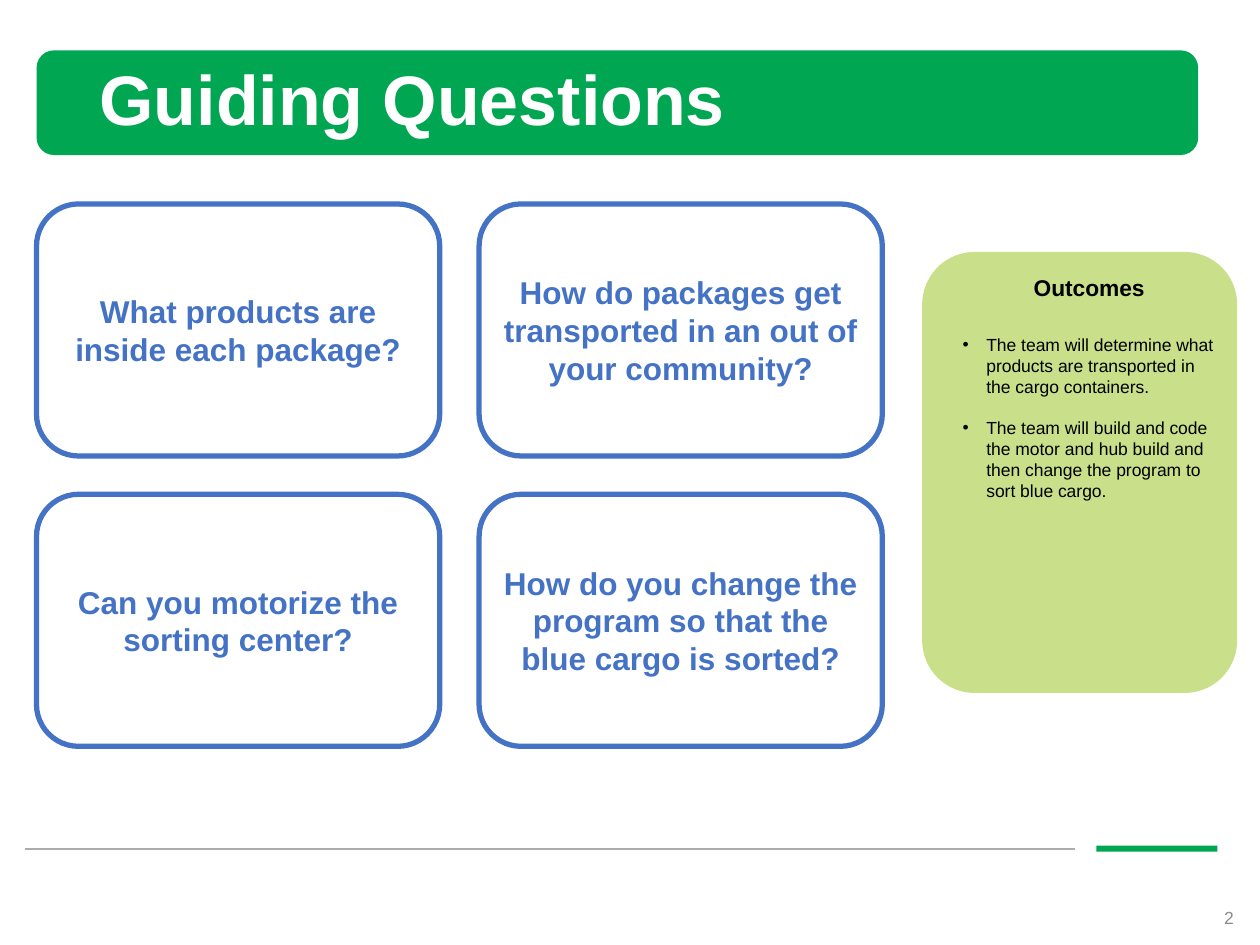
from dataclasses import dataclass

from lxml import etree
from pptx import Presentation
from pptx.dml.color import RGBColor
from pptx.enum.shapes import MSO_CONNECTOR, MSO_SHAPE
from pptx.enum.text import MSO_ANCHOR, MSO_AUTO_SIZE, PP_ALIGN
from pptx.oxml.ns import qn
from pptx.util import Pt

RECTANGLE, ROUNDED = MSO_SHAPE.RECTANGLE, MSO_SHAPE.ROUNDED_RECTANGLE
LEFT, CENTER, RIGHT = PP_ALIGN.LEFT, PP_ALIGN.CENTER, PP_ALIGN.RIGHT
TOP, MIDDLE = MSO_ANCHOR.TOP, MSO_ANCHOR.MIDDLE


@dataclass(frozen=True)
class Theme:
    font: str = "Arial"
    green: str = "00A651"
    light_green: str = "C9DF89"
    blue: str = "4472C4"
    white: str = "FFFFFF"
    black: str = "000000"
    rule_gray: str = "AFABAB"
    number_gray: str = "8C8C8C"
    title_size: float = 40
    question_size: float = 18
    heading_size: float = 13
    body_size: float = 10


theme = Theme()


def add_filled_shape(kind, left, top, width, height, fill):
    shape = slide.shapes.add_shape(kind, Pt(left), Pt(top), Pt(width), Pt(height))
    shape.shadow.inherit = False
    shape.fill.solid()
    shape.fill.fore_color.rgb = RGBColor.from_string(fill)
    shape.line.fill.background()
    return shape


def write_paragraph(paragraph, text, size, color, alignment, bold=False):
    paragraph.text = text
    paragraph.alignment = alignment
    font = paragraph.runs[0].font
    font.name = theme.font
    font.size = Pt(size)
    font.bold = bold
    font.color.rgb = RGBColor.from_string(color)


presentation = Presentation()
presentation.slide_width, presentation.slide_height = Pt(720), Pt(540)
slide = presentation.slides.add_slide(presentation.slide_layouts.get_by_name("Title Only"))

# Footer: gray rule, green accent and slide number
add_filled_shape(RECTANGLE, 626.6, 483.3, 69.1, 3.4, theme.green)
rule = slide.shapes.add_connector(MSO_CONNECTOR.STRAIGHT, Pt(14.4), Pt(485.3), Pt(614.2), Pt(485.3))
rule.line.color.rgb = RGBColor.from_string(theme.rule_gray)
rule.line.width = Pt(1)
etree.SubElement(rule.element.spPr, qn("a:effectLst"))

number_box = slide.shapes.add_textbox(Pt(684), Pt(516.2), Pt(28.1), Pt(16.6))
number_box.text_frame.word_wrap = True
number_box.text_frame.vertical_anchor = MIDDLE
write_paragraph(number_box.text_frame.paragraphs[0], "2", theme.body_size, theme.number_gray, RIGHT)

# Title on its green band
band = add_filled_shape(ROUNDED, 20.9, 28.8, 663.8, 59.8, theme.green)
title = slide.shapes.title
title.left, title.top, title.width, title.height = Pt(49.7), Pt(28.8), Pt(620.6), Pt(59.8)
title.text_frame.auto_size = MSO_AUTO_SIZE.NONE
title.text_frame.vertical_anchor = MIDDLE
write_paragraph(title.text_frame.paragraphs[0], "Guiding Questions", theme.title_size, theme.white, LEFT, bold=True)
title.text_frame.paragraphs[0].line_spacing = 0.9
band.element.addnext(title.element)

# Grid of question cards
questions = [
    ["What products are inside each package?",
     "How do packages get transported in an out of your community?"],
    ["Can you motorize the sorting center?",
     "How do you change the program so that the blue cargo is sorted?"],
]
grid_left, grid_top = 20.9, 116.6
card_width, card_height = 230.4, 144
column_step, row_step = 252.9, 165.9
for row, row_questions in enumerate(questions):
    for column, question in enumerate(row_questions):
        card = add_filled_shape(ROUNDED, grid_left + column * column_step, grid_top + row * row_step,
                                card_width, card_height, theme.white)
        card.line.color.rgb = RGBColor.from_string(theme.blue)
        card.line.width = Pt(3)
        card.text_frame.vertical_anchor = MIDDLE
        write_paragraph(card.text_frame.paragraphs[0], question,
                        theme.question_size, theme.blue, CENTER, bold=True)

# Outcomes panel
outcomes = [
    ("The team will determine what products are transported in the cargo containers.", 17),
    ("The team will build and code the motor and hub build and then change the program to sort blue cargo.", 11.5),
]
panel = add_filled_shape(ROUNDED, 527, 144, 180, 252, theme.light_green)
frame = panel.text_frame
frame.vertical_anchor = TOP
frame.margin_left, frame.margin_top = Pt(14.4), Pt(3.6)
frame.margin_right, frame.margin_bottom = Pt(3.6), Pt(7.2)
heading = frame.paragraphs[0]
write_paragraph(heading, "Outcomes", theme.heading_size, theme.black, CENTER, bold=True)
heading.space_after = Pt(2)
for outcome, gap in outcomes:
    paragraph = frame.add_paragraph()
    properties = paragraph._p.get_or_add_pPr()
    properties.set("marL", str(Pt(13.5)))
    properties.set("indent", str(-Pt(13.5)))
    bullet_font = etree.SubElement(properties, qn("a:buFont"))
    bullet_font.set("typeface", theme.font)
    etree.SubElement(properties, qn("a:buChar")).set("char", "•")
    write_paragraph(paragraph, outcome, theme.body_size, theme.black, LEFT)
    paragraph.space_before = Pt(gap)

presentation.save("out.pptx")
